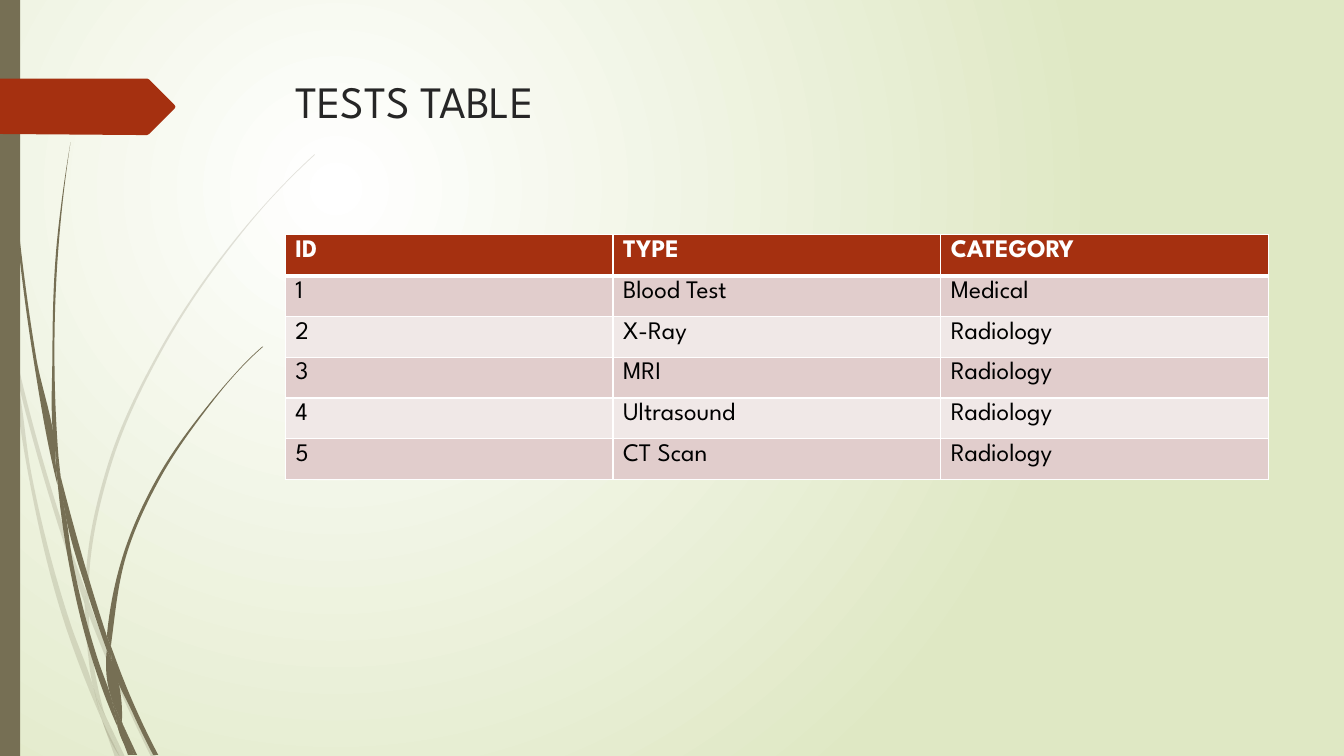
from dataclasses import dataclass
from math import dist

from lxml.etree import SubElement
from pptx import Presentation
from pptx.dml.color import RGBColor as RGB
from pptx.enum.shapes import MSO_SHAPE as SHAPE
from pptx.enum.text import MSO_ANCHOR as ANCHOR
from pptx.oxml.ns import qn
from pptx.util import Inches, Pt

COLORS = {
    "white": "FFFFFF", "lime": "DFE8C4", "olive": "766F54", "rust": "A53010",
    "title": "262626", "black": "000000", "band": "E1CDCC", "light": "F0E8E7",
}
FONT = "League Spartan"
Point = tuple[float, float]


@dataclass(frozen=True)
class Blade:
    down: str
    up: str


@dataclass(frozen=True)
class Tuft:
    opacity: int
    blades: tuple[Blade, ...]


@dataclass(frozen=True)
class RowStyle:
    fill: str
    text: str
    bold: bool
    top: float
    bottom: float


PALE_TUFT = Tuft(20, (
    Blade("0,2.82 .09,3.22 .11,3.5", ".1,3.44 0,2.99"),
    Blade(".17,3.76 .58,5.22 .84,5.99", ".85,5.86 .62,5.2 .14,3.45"),
    Blade(".88,6.1 1.23,6.94 1.5,7.51", "1.55,7.51 1.27,6.92 .92,6.07 .88,5.96"),
    Blade("1.05,7.11 1.19,7.51", "1.24,7.51"),
    Blade(".11,3.5 .28,4.7 .65,6.21 .92,6.93 1.01,7.14",
          ".99,7.07 .93,6.83 .7,6.19 .31,4.69 .17,3.76 .11,3.5"),
    Blade(".84,5.99 .87,6.46 .93,6.83 .96,6.92 1.05,7.11", "1.03,7.06 .91,6.46 .88,6.1"),
    Blade(".88,5.96 .88,5.84 1.1,4.62 1.6,3.49 2.29,2.45 2.68,1.98 2.9,1.75 3.12,1.54",
          "3.12,1.53 2.89,1.75 2.68,1.97 2.28,2.44 1.58,3.48 1.07,4.61 .85,5.84 .85,5.86"),
    Blade("1.01,7.14 1.14,7.51", "1.19,7.51"),
    Blade(".85,5.86 .84,5.99", ".88,6.1 .88,5.96"),
    Blade(".93,6.83 .99,7.07 1.01,7.14 1.19,7.51", "1.05,7.11 .96,6.92"),
))
DARK_TUFT = Tuft(100, (
    Blade(".03,0 .04,.48 .07,1.1 .17,2.33 .33,3.55 .56,4.77 .57,4.81",
          ".55,4.57 .55,4.53 .36,3.55 .19,2.32 .08,1.09 .05,.48 .04,0"),
    Blade(".6,4.72 .64,5.05 .88,5.92 1.06,6.45", "1.06,6.31 .93,5.9 .6,4.72"),
    Blade("1.1,6.41 1.11,6.56 1.32,7.08 1.52,7.49", "1.57,7.49 1.36,7.06 1.13,6.49"),
    Blade(".57,4.77 .68,5.57 .93,6.59 1.11,7.08 1.17,7.22",
          "1.16,7.17 1.1,6.91 .98,6.57 .72,5.56 .64,5.05 .57,4.77"),
    Blade(".7,1.41 .62,1.93 .56,2.45 .52,3.49 .55,4.49 .6,4.72",
          ".58,4.53 .54,3.49 .58,2.45 .63,1.93 .7,1.41"),
    Blade("1.22,7.19 1.33,7.49", "1.36,7.49"),
    Blade(".55,4.49 .55,4.53 .57,4.77 .64,5.05", ".6,4.72"),
    Blade("1.1,6.41 1.11,6.33 1.25,5.52 1.58,4.76 2.05,4.06 2.31,3.74 2.45,3.59 2.61,3.44",
          "2.6,3.44 2.45,3.58 2.31,3.73 2.04,4.05 1.56,4.74 1.22,5.51 1.06,6.31"),
    Blade("1.17,7.22 1.27,7.49", "1.31,7.49"),
    Blade("1.06,6.45 1.1,6.91 1.16,7.06 1.22,7.19", "1.21,7.16 1.11,6.56 1.06,6.45"),
    Blade("1.06,6.31 1.06,6.45", "1.11,6.56 1.1,6.41"),
    Blade("1.1,6.91 1.16,7.17 1.17,7.22 1.3,7.49", "1.33,7.49 1.22,7.19 1.16,7.06"),
))
ARROW = "0,.78 1.46,.78 1.48,.79 1.73,1.04 1.74,1.06 1.73,1.08 1.48,1.33 1.46,1.34 1.36,1.34 0,1.33"

HEADER = RowStyle("rust", "white", True, 1, 3)
FIRST_BODY = RowStyle("band", "black", False, 3, 1)
BODY = (
    RowStyle("band", "black", False, 1, 1),
    RowStyle("light", "black", False, 1, 1),
)
TESTS = (
    ("ID", "TYPE", "CATEGORY"),
    ("1", "Blood Test", "Medical"),
    ("2", "X-Ray", "Radiology"),
    ("3", "MRI", "Radiology"),
    ("4", "Ultrasound", "Radiology"),
    ("5", "CT Scan", "Radiology"),
)


def rgb(name: str) -> RGB:
    return RGB.from_string(COLORS[name])


def points(text: str) -> list[Point]:
    return [tuple(map(float, pair.split(","))) for pair in text.split()]


def slopes(pts: list[Point]) -> list[Point]:
    pairs = list(zip(pts, pts[1:]))
    lengths = [dist(a, b) for a, b in pairs]
    units = [((b[0] - a[0]) / h, (b[1] - a[1]) / h) for (a, b), h in zip(pairs, lengths)]
    if len(units) < 2:
        return units * len(pts)
    inner = [
        tuple((u * k + v * h) / (h + k) for u, v in zip(before, after))
        for before, after, h, k in zip(units, units[1:], lengths, lengths[1:])
    ]
    first = tuple(2 * u - m for u, m in zip(units[0], inner[0]))
    last = tuple(2 * u - m for u, m in zip(units[-1], inner[-1]))
    return [first, *inner, last]


def handles(pts: list[Point]) -> list[tuple[Point, Point]]:
    m = slopes(pts)
    result = []
    for i, (a, b) in enumerate(zip(pts, pts[1:])):
        third = dist(a, b) / 3
        result.append((
            tuple(p + third * d for p, d in zip(a, m[i])),
            tuple(p - third * d for p, d in zip(b, m[i + 1])),
        ))
    return result


def paint(sp, color: str, opacity: int = 100) -> None:
    sp.shadow.inherit = False
    sp.fill.solid()
    sp.fill.fore_color.rgb = rgb(color)
    sp.line.fill.background()
    if opacity < 100:
        fill = sp.element.find(".//" + qn("a:srgbClr"))
        SubElement(fill, qn("a:alpha"), val=str(opacity * 1000))


def add_outline(s, pts: list[Point], color: str, opacity: int = 100):
    start, *rest = [(Inches(x), Inches(y)) for x, y in pts]
    builder = s.shapes.build_freeform(*start)
    builder.add_line_segments(rest, close=True)
    sp = builder.convert_to_shape()
    paint(sp, color, opacity)
    return sp


def add_blade(s, blade: Blade, opacity: int) -> None:
    down, up = points(blade.down), points(blade.up)
    sp = add_outline(s, down + up, "olive", opacity)
    bends = [*handles(down), None, *handles(up)]
    for line, bend in zip(list(sp.element.iter(qn("a:lnTo"))), bends):
        if bend is None:
            continue
        line.tag = qn("a:cubicBezTo")
        for i, (x, y) in enumerate(bend):
            pt = SubElement(line, qn("a:pt"), x=str(Inches(x) - sp.left), y=str(Inches(y) - sp.top))
            line.insert(i, pt)


def add_tuft(s, tuft: Tuft) -> None:
    for blade in tuft.blades:
        add_blade(s, blade, tuft.opacity)


def set_background(s) -> None:
    fill = s.background.fill
    fill.gradient()
    for stop, color in zip(fill.gradient_stops, ("white", "lime")):
        stop.color.rgb = rgb(color)
    grad = s.element.find(".//" + qn("a:gradFill"))
    grad.remove(grad.find(qn("a:lin")))
    circle = SubElement(grad, qn("a:path"), {"path": "circle"})
    SubElement(circle, qn("a:fillToRect"), l="50000", t="50000", r="100000", b="100000")


def set_font(p, size: int, color: str, bold: bool = False) -> None:
    p.font.name = FONT
    p.font.size = Pt(size)
    p.font.bold = bold
    p.font.color.rgb = rgb(color)


def add_title(s, text: str) -> None:
    sp = s.shapes.add_textbox(Inches(2.83), Inches(0.68), Inches(9.75), Inches(1.4))
    tf = sp.text_frame
    tf.word_wrap = True
    tf.vertical_anchor = ANCHOR.TOP
    p = tf.paragraphs[0]
    p.text = text
    set_font(p, 32, "title")


def style_cell(cell, style: RowStyle) -> None:
    cell.fill.solid()
    cell.fill.fore_color.rgb = rgb(style.fill)
    set_font(cell.text_frame.paragraphs[0], 18, style.text, style.bold)
    tc_pr = cell._tc.get_or_add_tcPr()
    sides = (("lnL", 1), ("lnR", 1), ("lnT", style.top), ("lnB", style.bottom))
    for i, (side, width) in enumerate(sides):
        ln = SubElement(tc_pr, qn(f"a:{side}"), w=str(Pt(width)))
        fill = SubElement(ln, qn("a:solidFill"))
        SubElement(fill, qn("a:srgbClr"), val=COLORS["white"])
        tc_pr.insert(i, ln)


def add_tests(s) -> None:
    table = s.shapes.add_table(len(TESTS), len(TESTS[0]), Inches(2.83), Inches(2.33),
                               Inches(9.75), Inches(2.43)).table
    styles = (HEADER, FIRST_BODY, *(BODY[i % 2] for i in range(1, len(TESTS) - 1)))
    for r, (row, style) in enumerate(zip(TESTS, styles)):
        for c, text in enumerate(row):
            cell = table.cell(r, c)
            cell.text = text
            style_cell(cell, style)


def main() -> None:
    prs = Presentation()
    prs.slide_width, prs.slide_height = Inches(13.33), Inches(7.5)
    s = prs.slides.add_slide(prs.slide_layouts[6])
    set_background(s)
    add_tuft(s, PALE_TUFT)
    add_tuft(s, DARK_TUFT)
    paint(s.shapes.add_shape(SHAPE.RECTANGLE, 0, 0, Inches(0.2), prs.slide_height), "olive")
    add_outline(s, points(ARROW), "rust")
    add_title(s, "TESTS TABLE")
    add_tests(s)
    prs.save("out.pptx")


if __name__ == "__main__":
    main()
